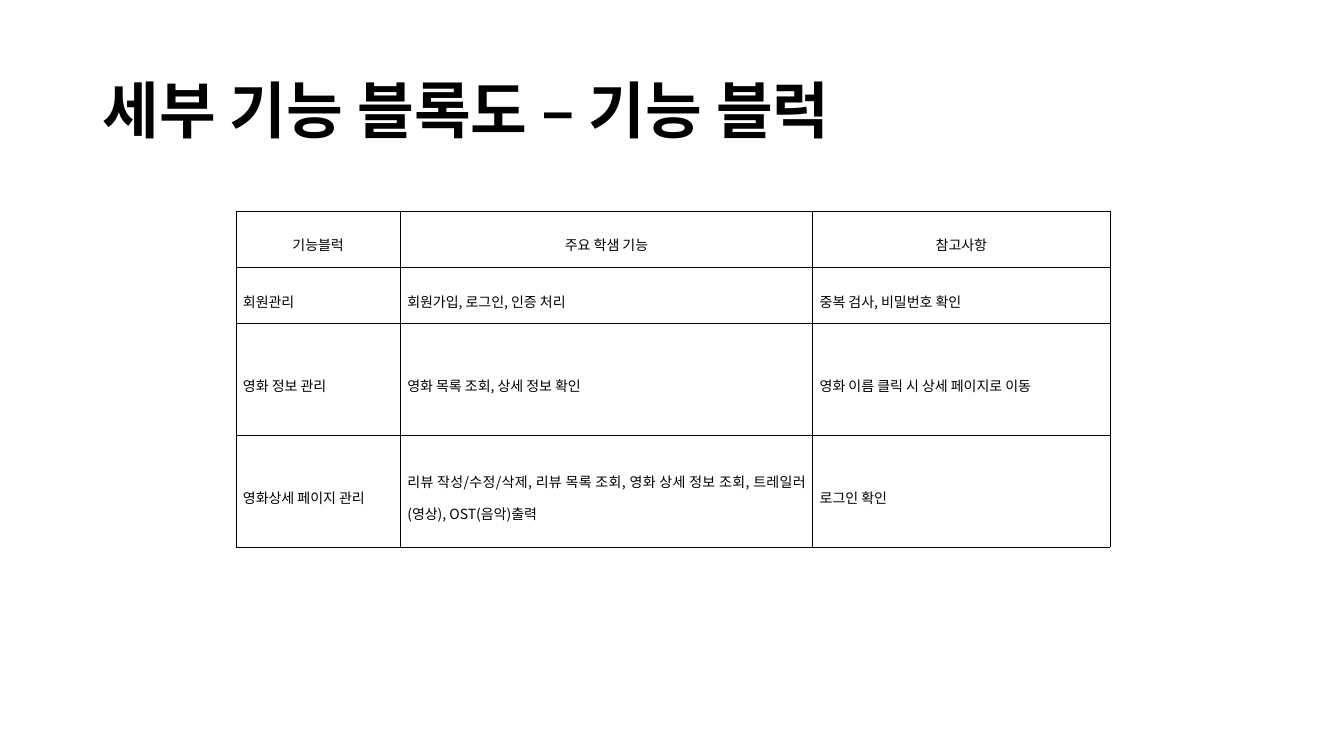
from lxml.etree import SubElement
from pptx import Presentation
from pptx.dml.color import RGBColor
from pptx.enum.text import MSO_ANCHOR, PP_ALIGN
from pptx.oxml import parse_xml
from pptx.oxml.ns import nsdecls, qn
from pptx.util import Inches, Pt

BLACK = RGBColor(0x00, 0x00, 0x00)
FONT = "Noto Sans CJK KR"
TITLE = "세부 기능 블록도 – 기능 블럭"
TITLE_FORMAT = {"name": FONT, "size": Pt(44), "bold": True}
CELL_FORMAT = {"name": FONT, "size": Pt(10), "bold": False}
CELL_BOX = {
    "margin_left": Inches(0.07),
    "margin_right": Inches(0.07),
    "margin_top": Inches(0.02),
    "margin_bottom": Inches(0.02),
    "vertical_anchor": MSO_ANCHOR.MIDDLE,
}
COLUMN_WIDTHS = [1.63, 4.09, 2.95]
ROW_HEIGHTS = [0.56, 0.56, 1.11, 1.11]
BLOCKS = [
    ["기능블럭", "주요 학샘 기능", "참고사항"],
    ["회원관리", "회원가입, 로그인, 인증 처리", "중복 검사, 비밀번호 확인"],
    ["영화 정보 관리", "영화 목록 조회, 상세 정보 확인", "영화 이름 클릭 시 상세 페이지로 이동"],
    [
        "영화상세 페이지 관리",
        "리뷰 작성/수정/삭제, 리뷰 목록 조회, 영화 상세 정보 조회, 트레일러(영상), OST(음악)출력",
        "로그인 확인",
    ],
]


def set_attributes(target, values):
    for name, value in values.items():
        setattr(target, name, value)


def write_text(tf, text, font_format, align, line_spacing):
    p = tf.paragraphs[0]
    set_attributes(p, {"alignment": align, "line_spacing": line_spacing})
    r = p.add_run()
    r.text = text
    set_attributes(r.font, font_format)
    r.font.color.rgb = BLACK
    SubElement(r.font._element, qn("a:ea")).set("typeface", FONT)


def add_borders(cell):
    tcPr = cell._tc.get_or_add_tcPr()
    for i, side in enumerate(("lnL", "lnR", "lnT", "lnB")):
        tcPr.insert(i, parse_xml(
            f'<a:{side} {nsdecls("a")} w="{Pt(0.28)}">'
            f'<a:solidFill><a:srgbClr val="{BLACK}"/></a:solidFill></a:{side}>'
        ))


def add_title(s):
    tb = s.shapes.add_textbox(Inches(0.92), Inches(0.4), Inches(11.5), Inches(1.45))
    tf = tb.text_frame
    set_attributes(tf, {"word_wrap": True, "vertical_anchor": MSO_ANCHOR.MIDDLE})
    write_text(tf, TITLE, TITLE_FORMAT, PP_ALIGN.LEFT, 0.9)


def add_block_table(s):
    table = s.shapes.add_table(
        len(BLOCKS), len(COLUMN_WIDTHS), Inches(2.34), Inches(2.09),
        Inches(sum(COLUMN_WIDTHS)), Inches(sum(ROW_HEIGHTS)),
    ).table
    set_attributes(table, {"first_row": False, "horz_banding": False})
    for column, width in zip(table.columns, COLUMN_WIDTHS):
        column.width = Inches(width)
    for i, (row, height) in enumerate(zip(table.rows, ROW_HEIGHTS)):
        row.height = Inches(height)
        align = PP_ALIGN.JUSTIFY if i else PP_ALIGN.CENTER
        for cell, text in zip(row.cells, BLOCKS[i]):
            set_attributes(cell, CELL_BOX)
            cell.fill.background()
            add_borders(cell)
            write_text(cell.text_frame, text, CELL_FORMAT, align, 1.6)


def main():
    prs = Presentation()
    set_attributes(prs, {"slide_width": Inches(13.33), "slide_height": Inches(7.5)})
    s = prs.slides.add_slide(prs.slide_layouts[6])
    add_title(s)
    add_block_table(s)
    prs.save("out.pptx")


if __name__ == "__main__":
    main()
